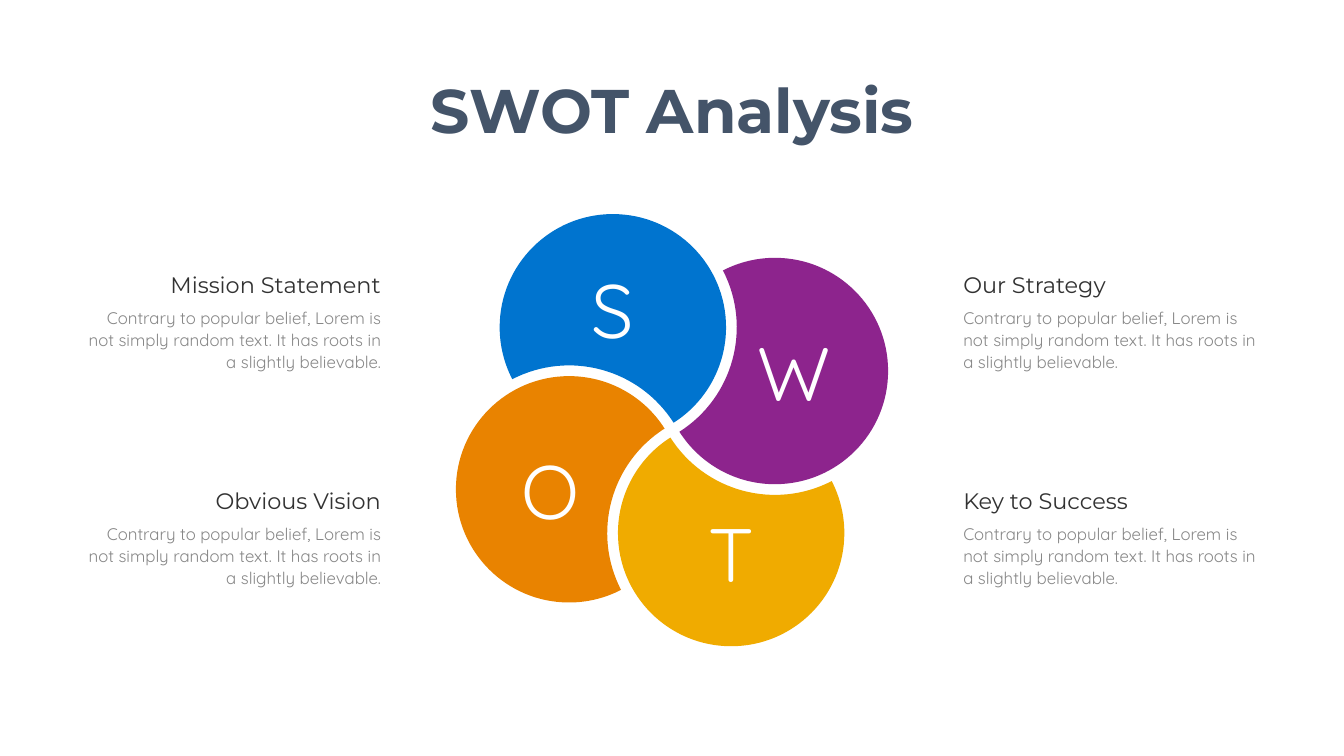
from math import acos, atan2, cos, hypot, pi, sin, tan

from lxml import etree
from pptx import Presentation
from pptx.dml.color import RGBColor
from pptx.enum.text import MSO_ANCHOR, MSO_AUTO_SIZE, PP_ALIGN
from pptx.oxml.ns import qn
from pptx.util import Pt

LEFT, CENTER, RIGHT = PP_ALIGN.LEFT, PP_ALIGN.CENTER, PP_ALIGN.RIGHT
TOP, MIDDLE, BOTTOM = MSO_ANCHOR.TOP, MSO_ANCHOR.MIDDLE, MSO_ANCHOR.BOTTOM
FIT_SHAPE = MSO_AUTO_SIZE.SHAPE_TO_FIT_TEXT

WHITE = RGBColor(0xFF, 0xFF, 0xFF)
SLATE = RGBColor(0x44, 0x54, 0x69)
CHARCOAL = RGBColor(0x32, 0x32, 0x32)
GRAY = RGBColor(0x87, 0x87, 0x87)
BLUE = RGBColor(0x00, 0x74, 0xCF)
PURPLE = RGBColor(0x8D, 0x24, 0x8D)
GOLD = RGBColor(0xF0, 0xAB, 0x00)
ORANGE = RGBColor(0xE9, 0x83, 0x00)

TITLE_FONT = {"name": "Montserrat", "size": Pt(88), "bold": True}
HEADING_FONT = {"name": "Montserrat", "size": Pt(32)}
BODY_FONT = {"name": "Quicksand", "size": Pt(24)}
LETTER_FONT = {"name": "Quicksand", "size": Pt(108)}

WHEEL_X, WHEEL_Y = 960, 614.5
OFFSET_X, OFFSET_Y = 84.5, 147
PETAL_RADIUS, NOTCH_RADIUS = 161.7, 177
PETALS = [
    ("S", BLUE, (-OFFSET_X, -OFFSET_Y), "margin_bottom"),
    ("W", PURPLE, (OFFSET_Y, -OFFSET_X), "margin_left"),
    ("O", ORANGE, (-OFFSET_Y, OFFSET_X), "margin_right"),
    ("T", GOLD, (OFFSET_X, OFFSET_Y), "margin_top"),
]

BODY_WIDTH, BODY_HEIGHT = 444, 101.5
HEADING_HEIGHT, BODY_DROP = 46, 49.7
LEFT_COLUMN, RIGHT_COLUMN = 107.3, 1369
FIRST_ROW, ROW_PITCH = 383, 309
BODY = ("Contrary to popular belief, Lorem is not simply random text. "
        "It has roots in a slightly believable.")
NOTES = [
    ("Mission Statement", 318, 0, RIGHT),
    ("Our Strategy", 222.5, 0, LEFT),
    ("Obvious Vision", 254, 1, RIGHT),
    ("Key to Success", 259, 1, LEFT),
]


def set_values(target, values):
    """Set every attribute named in a dict of format values."""
    for name, value in values.items():
        setattr(target, name, value)


def write_text(shape, text, font, color, paragraph_format, frame_format):
    """Write one formatted paragraph into a shape."""
    frame = shape.text_frame
    set_values(frame, frame_format)
    paragraph = frame.paragraphs[0]
    set_values(paragraph, paragraph_format)
    run = paragraph.add_run()
    run.text = text
    set_values(run.font, font)
    run.font.color.rgb = color


def add_text(slide, box, text, font, color, paragraph_format, frame_format):
    """Add a text box at left, top, width and height in points."""
    shape = slide.shapes.add_textbox(*map(Pt, box))
    write_text(shape, text, font, color, paragraph_format, frame_format)


def arc_curve(center, radius, start, end):
    """Return the four Bezier points of an arc of up to a quarter turn."""
    reach = 4 / 3 * tan((end - start) / 4)
    locals_ = [
        (cos(start), sin(start)),
        (cos(start) - reach * sin(start), sin(start) + reach * cos(start)),
        (cos(end) + reach * sin(end), sin(end) - reach * cos(end)),
        (cos(end), sin(end)),
    ]
    return [(center[0] + radius * x, center[1] + radius * y) for x, y in locals_]


def petal_points(offset_x, offset_y):
    """Outline a disc notched by the preceding disc of the wheel."""
    disc = (WHEEL_X + offset_x, WHEEL_Y + offset_y)
    neighbor = (WHEEL_X + offset_y, WHEEL_Y - offset_x)
    delta_x, delta_y = neighbor[0] - disc[0], neighbor[1] - disc[1]
    distance, heading = hypot(delta_x, delta_y), atan2(delta_y, delta_x)
    difference = PETAL_RADIUS ** 2 - NOTCH_RADIUS ** 2
    outer = acos((distance ** 2 + difference) / (2 * PETAL_RADIUS * distance))
    inner = acos((distance ** 2 - difference) / (2 * NOTCH_RADIUS * distance))
    start, end = heading + outer, heading + 2 * pi - outer
    quarters = [turn * pi / 2 for turn in range(-4, 8)]
    stops = [start, *(angle for angle in quarters if start < angle < end), end]
    curves = [arc_curve(disc, PETAL_RADIUS, *pair) for pair in zip(stops, stops[1:])]
    curves.append(arc_curve(neighbor, NOTCH_RADIUS, heading + pi + inner, heading + pi - inner))
    return curves[0][:1] + [point for curve in curves for point in curve[1:]]


def bend_segments(shape):
    """Turn each three line segments of a freeform into one Bezier curve."""
    lines = list(shape.element.iter(qn("a:lnTo")))
    for first in range(0, len(lines), 3):
        curve = etree.Element(qn("a:cubicBezTo"))
        lines[first].addprevious(curve)
        for line in lines[first:first + 3]:
            curve.append(line[0])
            line.getparent().remove(line)


def add_petal(slide, letter, color, offset, inset_side):
    """Add one coloured petal with its letter."""
    points = [(Pt(x), Pt(y)) for x, y in petal_points(*offset)]
    builder = slide.shapes.build_freeform(*points[0])
    builder.add_line_segments(points[1:], close=True)
    shape = builder.convert_to_shape()
    bend_segments(shape)
    shape.shadow.inherit = False
    shape.fill.solid()
    shape.fill.fore_color.rgb = color
    shape.line.fill.background()
    sides = ("margin_left", "margin_top", "margin_right", "margin_bottom")
    frame_format = {side: Pt(28.8 if side == inset_side else 0) for side in sides}
    frame_format.update(vertical_anchor=MIDDLE, word_wrap=True)
    write_text(shape, letter, LETTER_FONT, WHITE, {"alignment": CENTER}, frame_format)


def add_note(slide, heading, heading_width, row, alignment):
    """Add a heading and its body text beside the wheel."""
    top = FIRST_ROW + row * ROW_PITCH
    column = RIGHT_COLUMN if alignment == LEFT else LEFT_COLUMN
    indent = 0 if alignment == LEFT else BODY_WIDTH - heading_width
    add_text(slide, (column + indent, top, heading_width, HEADING_HEIGHT),
             heading, HEADING_FONT, CHARCOAL, {"alignment": alignment},
             {"vertical_anchor": BOTTOM, "word_wrap": False, "auto_size": FIT_SHAPE})
    add_text(slide, (column, top + BODY_DROP, BODY_WIDTH, BODY_HEIGHT),
             BODY, BODY_FONT, GRAY, {"alignment": alignment, "line_spacing": 1.1},
             {"vertical_anchor": TOP, "word_wrap": True, "auto_size": FIT_SHAPE})


def main():
    """Build the SWOT slide and save it."""
    presentation = Presentation()
    set_values(presentation, {"slide_width": Pt(1920), "slide_height": Pt(1080)})
    slide = presentation.slides.add_slide(presentation.slide_layouts[6])
    for petal in PETALS:
        add_petal(slide, *petal)
    for note in NOTES:
        add_note(slide, *note)
    add_text(slide, (132, 57.5, 1656, 209), "SWOT Analysis", TITLE_FONT, SLATE,
             {"alignment": CENTER, "line_spacing": 0.9},
             {"vertical_anchor": MIDDLE, "word_wrap": True})
    presentation.save("out.pptx")


if __name__ == "__main__":
    main()
